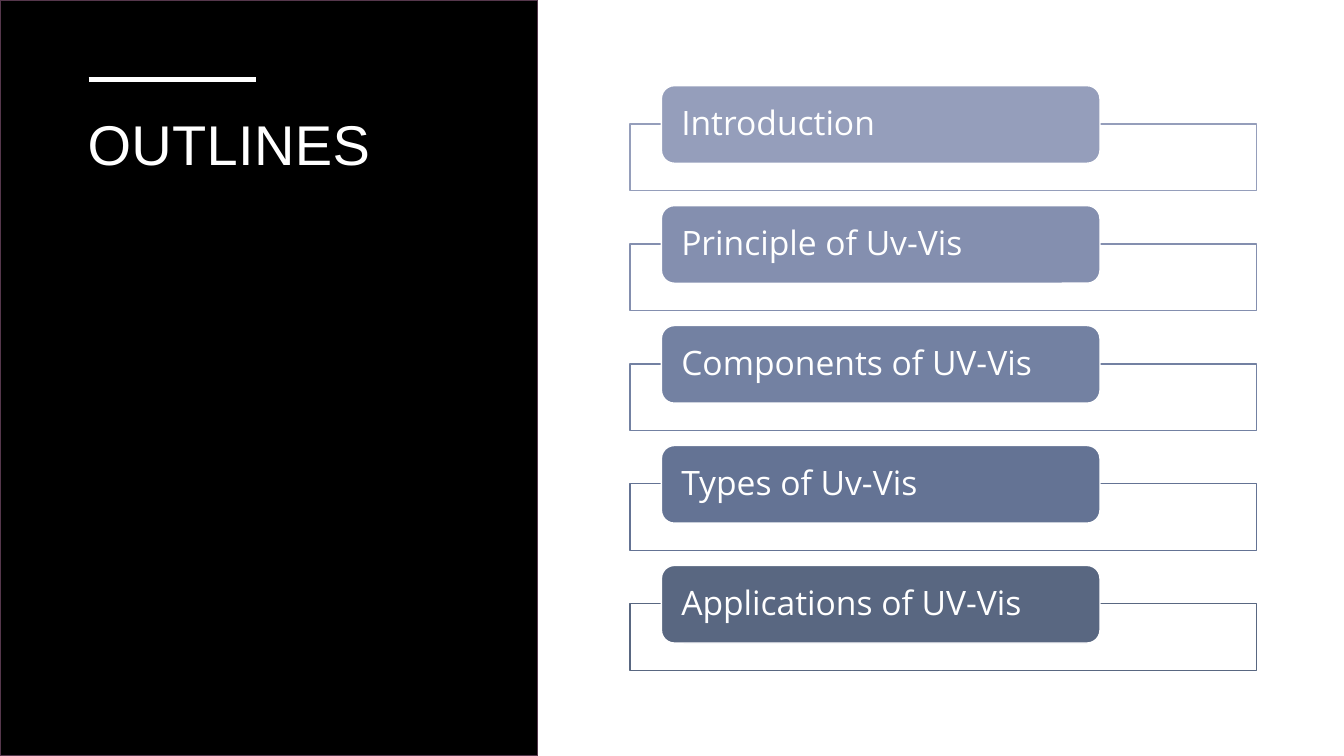
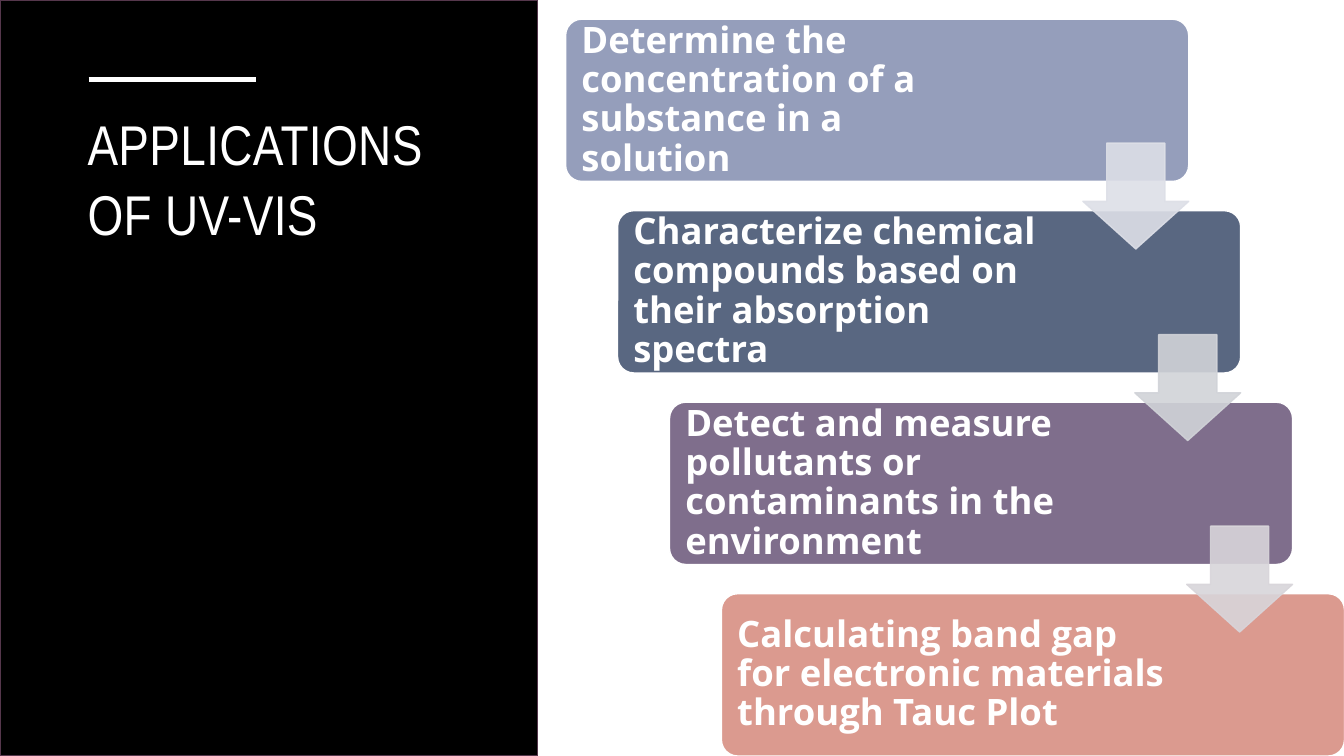
from lxml.etree import SubElement
from pptx import Presentation
from pptx.dml.color import RGBColor
from pptx.enum.shapes import MSO_CONNECTOR as CONNECTOR, MSO_SHAPE as SHAPE
from pptx.enum.text import MSO_ANCHOR as ANCHOR, PP_ALIGN as ALIGN
from pptx.oxml.ns import qn
from pptx.util import Inches, Pt

COLORS = {
    "white": "FFFFFF", "black": "000000", "plum": "55374C",
    "blue1": "959EBB", "blue2": "848FAF", "blue3": "7381A2",
    "blue4": "647394", "blue5": "596781",
    "purple": "7F6E8C", "salmon": "DB9A8F",
    "arrow1": "DDDFE7", "arrow2": "D1D3D8", "arrow3": "D8D5DA",
}

OUTLINE_TITLE = "OUTLINES"
OUTLINE = [
    ("Introduction", "blue1"),
    ("Principle of Uv-Vis", "blue2"),
    ("Components of UV-Vis", "blue3"),
    ("Types of Uv-Vis", "blue4"),
    ("Applications of UV-Vis", "blue5"),
]

APPLICATIONS_TITLE = "APPLICATIONS OF UV-VIS"
APPLICATIONS = [
    ("Determine the concentration of a substance in a solution", "blue1", 1.89),
    ("Characterize chemical compounds based on their absorption spectra", "blue5", 1.67),
    ("Detect and measure pollutants or contaminants in the environment", "purple", 1.67),
    ("Calculating band gap for electronic materials through Tauc Plot", "salmon", 1.67),
]
ARROWS = ["arrow1", "arrow2", "arrow3"]


def rgb(name):
    return RGBColor.from_string(COLORS[name])


def set_alpha(color_format_parent, percent):
    for color in color_format_parent.iter(qn("a:srgbClr")):
        SubElement(color, qn("a:alpha")).set("val", str(percent * 1000))


def add_box(slide, kind, left, top, width, height, fill, line, adjustments=()):
    shape = slide.shapes.add_shape(
        kind, Inches(left), Inches(top), Inches(width), Inches(height))
    shape.shadow.inherit = False
    shape.fill.solid()
    shape.fill.fore_color.rgb = rgb(fill)
    shape.line.color.rgb = rgb(line)
    shape.line.width = Pt(1)
    for index, value in enumerate(adjustments):
        shape.adjustments[index] = value
    return shape


def write(shape, text, size, font="Open Sans", bold=False, anchor=ANCHOR.MIDDLE,
          insets=(0.1, 0.05, 0.1, 0.05), line_spacing=None, tracking=None):
    frame = shape.text_frame
    frame.word_wrap = True
    frame.vertical_anchor = anchor
    (frame.margin_left, frame.margin_top,
     frame.margin_right, frame.margin_bottom) = map(Inches, insets)
    paragraph = frame.paragraphs[0]
    paragraph.alignment = ALIGN.LEFT
    paragraph.line_spacing = line_spacing
    run = paragraph.add_run()
    run.text = text
    run.font.size = Pt(size)
    run.font.name = font
    run.font.bold = bold
    run.font.color.rgb = rgb("white")
    if tracking:
        run.font._element.set("spc", str(int(tracking * 100)))


def add_titled_slide(presentation, title, font):
    slide = presentation.slides.add_slide(presentation.slide_layouts[6])
    add_box(slide, SHAPE.RECTANGLE, 0, 0, 5.33, 7.5, "black", "plum")
    title_box = slide.shapes.add_textbox(
        Inches(0.77), Inches(1), Inches(4.07), Inches(4.01))
    write(title_box, title, 40, font=font, anchor=ANCHOR.TOP,
          line_spacing=1.05, tracking=0.3)
    rule = slide.shapes.add_connector(
        CONNECTOR.STRAIGHT, Inches(0.88), Inches(0.79), Inches(2.54), Inches(0.79))
    rule.line.color.rgb = rgb("white")
    rule.line.width = Pt(3.5)
    SubElement(rule._element.spPr, qn("a:effectLst"))
    return slide


def build_outline(presentation):
    slide = add_titled_slide(presentation, OUTLINE_TITLE, "Arial")
    for index, (text, color) in enumerate(OUTLINE):
        top = 0.85 + 1.19 * index
        frame = add_box(slide, SHAPE.RECTANGLE, 6.25, top + 0.38, 6.21, 0.66, "white", color)
        set_alpha(frame._element.spPr.find(qn("a:solidFill")), 90)
        label = add_box(slide, SHAPE.ROUNDED_RECTANGLE, 6.56, top, 4.35, 0.77, color, "white")
        write(label, text, 24, insets=(0.16, 0, 0.16, 0), line_spacing=0.9)


def build_applications(presentation):
    slide = add_titled_slide(presentation, APPLICATIONS_TITLE, "Arial Narrow")
    step_x, step_y = 0.515, 1.9
    for index, (text, color, right_inset) in enumerate(APPLICATIONS):
        card = add_box(slide, SHAPE.ROUNDED_RECTANGLE, 5.61 + step_x * index,
                       0.19 + step_y * index, 6.18, 1.61, color, "white", [0.1])
        write(card, text, 26, bold=True, insets=(0.11, 0.11, right_inset, 0.11),
              line_spacing=0.9)
    for index, color in enumerate(ARROWS):
        arrow = add_box(slide, SHAPE.DOWN_ARROW, 10.74 + step_x * index,
                        1.42 + step_y * index, 1.05, 1.05, color, color, [0.55, 0.45])
        set_alpha(arrow._element.spPr, 90)


def main():
    presentation = Presentation()
    presentation.slide_width = Inches(13.33)
    presentation.slide_height = Inches(7.5)
    build_outline(presentation)
    build_applications(presentation)
    presentation.save("out.pptx")


if __name__ == "__main__":
    main()
